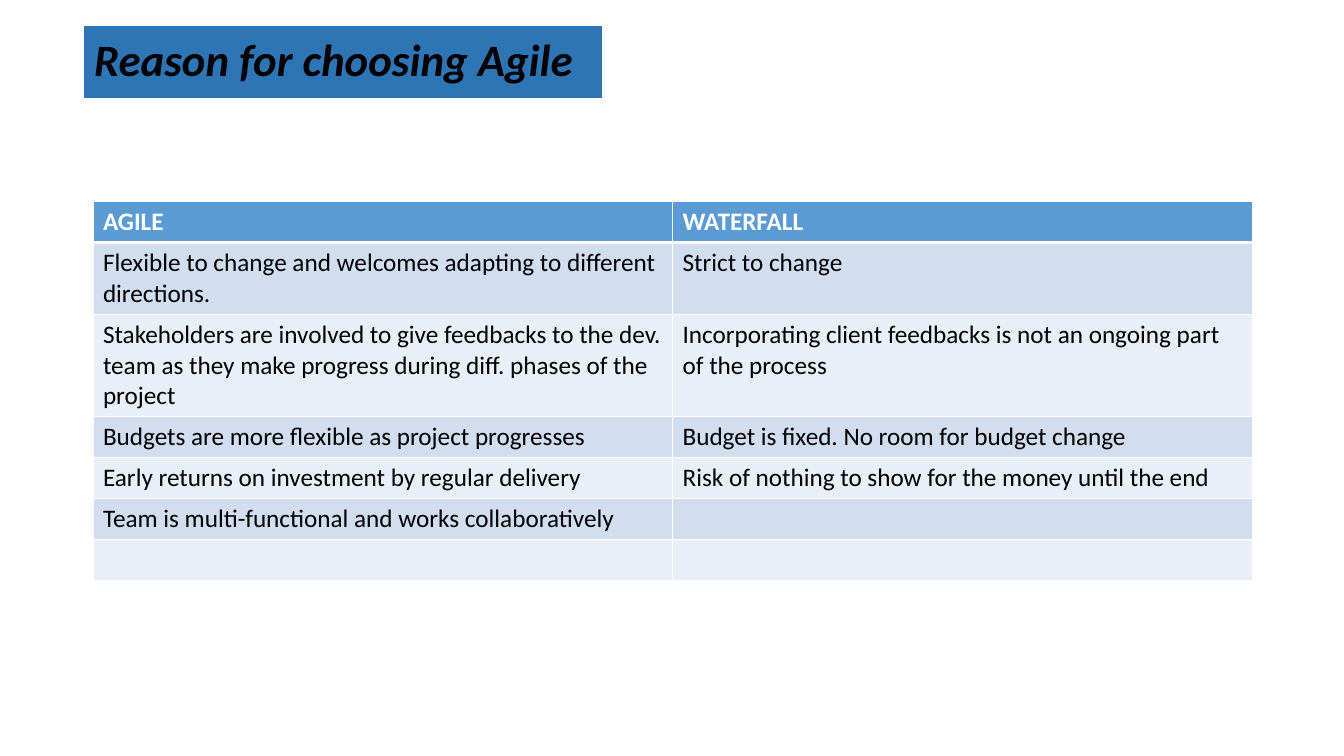
"""Build a slide that compares Agile with Waterfall in a table."""
from typing import NamedTuple

from lxml import etree
from pptx import Presentation
from pptx.dml.color import RGBColor
from pptx.enum.text import MSO_ANCHOR, MSO_AUTO_SIZE, PP_ALIGN
from pptx.oxml.ns import qn
from pptx.util import Pt

LEFT = PP_ALIGN.LEFT
MIDDLE = MSO_ANCHOR.MIDDLE
NO_FIT = MSO_AUTO_SIZE.NONE
FONT = "Calibri"
COLORS = {
    "title": "2E75B6",
    "head": "5B9BD5",
    "odd": "D2DEEF",
    "even": "EAEFF7",
    "white": "FFFFFF",
    "black": "000000",
}


class Line(NamedTuple):
    agile: str
    water: str
    height: float = 29.3


LINES = [
    Line("AGILE", "WATERFALL"),
    Line("Flexible to change and welcomes adapting to different directions.",
         "Strict to change", 50),
    Line("Stakeholders are involved to give feedbacks to the dev. team as "
         "they make progress during diff. phases of the project",
         "Incorporating client feedbacks is not an ongoing part of the process",
         72),
    Line("Budgets are more flexible as project progresses",
         "Budget is fixed. No room for budget change"),
    Line("Early returns on investment by regular delivery",
         "Risk of nothing to show for the money until the end"),
    Line("Team is multi-functional and works collaboratively", ""),
    Line("", ""),
]


def color(name: str) -> RGBColor:
    """Return the named colour."""
    return RGBColor.from_string(COLORS[name])


def style(para, size: float, name: str, bold: bool, slant: bool = False) -> None:
    """Format the runs of a paragraph."""
    for run in para.runs:
        font = run.font
        font.name, font.size = FONT, Pt(size)
        font.bold, font.italic = bold, slant
        font.color.rgb = color(name)


def add_title(slide) -> None:
    """Place and format the title."""
    title = slide.shapes.title
    title.left, title.top = Pt(60), Pt(18.6)
    title.width, title.height = Pt(370), Pt(51.4)
    title.fill.solid()
    title.fill.fore_color.rgb = color("title")
    frame = title.text_frame
    frame.text = "Reason for choosing Agile"
    frame.auto_size, frame.vertical_anchor = NO_FIT, MIDDLE
    para = frame.paragraphs[0]
    para.alignment, para.line_spacing = LEFT, 0.9
    style(para, 32, "black", True, True)


def add_edge(cell, side: str, width: float) -> None:
    """Draw one white border of a cell."""
    props = cell._tc.get_or_add_tcPr()
    edge = etree.SubElement(props, qn(f"a:ln{side}"), w=str(Pt(width)))
    fill = etree.SubElement(edge, qn("a:solidFill"))
    etree.SubElement(fill, qn("a:srgbClr"), val=COLORS["white"])


def fill_cell(cell, text: str, row: int) -> None:
    """Write and format one cell by its row number."""
    head = row == 0
    cell.text_frame.text = text
    style(cell.text_frame.paragraphs[0], 18, "white" if head else "black", head)
    for side in "LRTB":
        thick = (row, side) in ((0, "B"), (1, "T"))
        add_edge(cell, side, 3 if thick else 1)
    cell.fill.solid()
    cell.fill.fore_color.rgb = color("head" if head else "odd" if row % 2 else "even")


def add_table(slide) -> None:
    """Add the table of both methods."""
    high = sum(line.height for line in LINES)
    table = slide.shapes.add_table(
        len(LINES), 2, Pt(66.4), Pt(144), Pt(828), Pt(high)).table
    for row, line in enumerate(LINES):
        table.rows[row].height = Pt(line.height)
        for col, text in enumerate((line.agile, line.water)):
            fill_cell(table.cell(row, col), text, row)


def main() -> None:
    """Build and save the deck."""
    deck = Presentation()
    deck.slide_width, deck.slide_height = Pt(960), Pt(540)
    slide = deck.slides.add_slide(deck.slide_layouts[5])
    add_title(slide)
    add_table(slide)
    deck.save("out.pptx")


if __name__ == "__main__":
    main()
